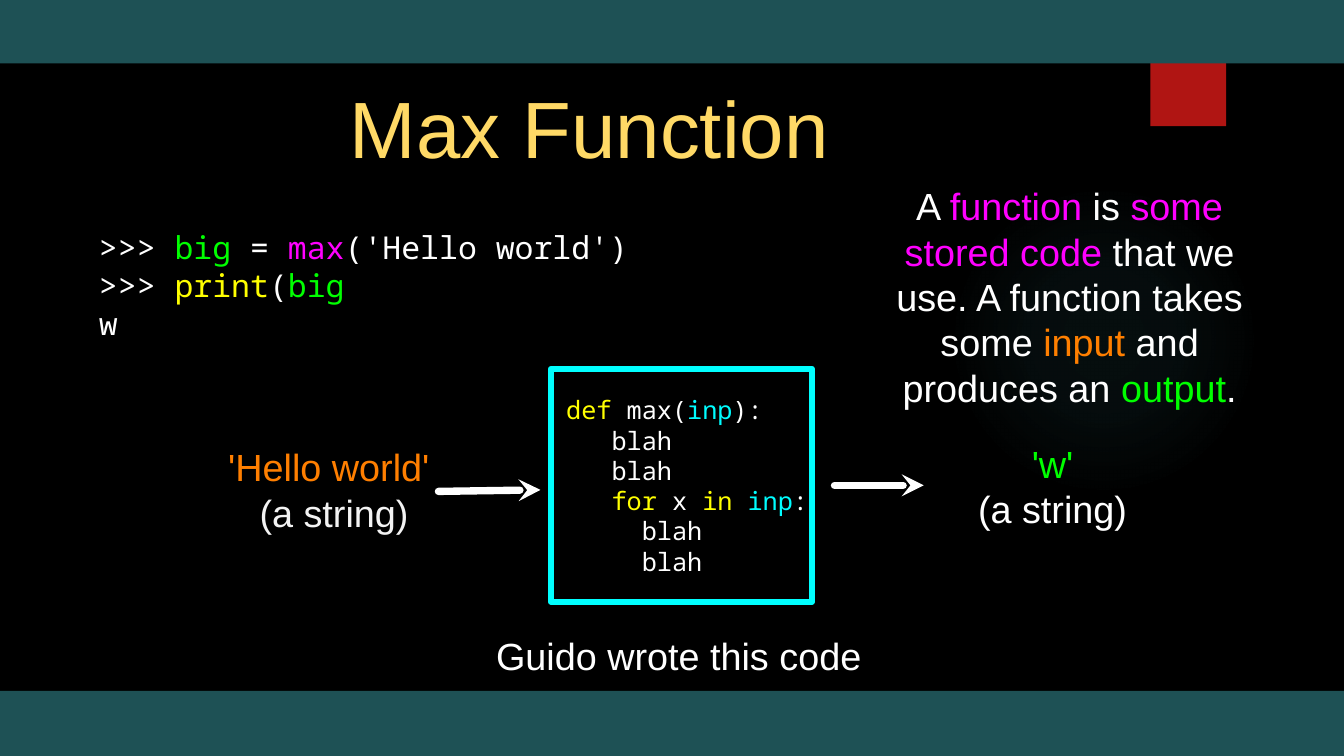
from lxml import etree
from pptx import Presentation
from pptx.dml.color import RGBColor
from pptx.enum import shapes, text
from pptx.oxml import parse_xml
from pptx.oxml.ns import nsdecls, qn
from pptx.util import Inches, Pt

COLORS = {
    "black": "000000", "white": "FFFFFF", "pale": "F3F3F3", "teal": "1E5155",
    "red": "B01513", "glow": "50B9C1", "gold": "FFD966", "green": "00FF00",
    "magenta": "FF00FF", "yellow": "FFFF00", "orange": "FF7F00",
    "cyan": "00FFFF", "aqua": "00FDFF",
}
SANS, MONO = "Arial", "Noto Sans Mono"


def color(name):
    return RGBColor.from_string(COLORS[name])


def write(shape, lines, size, font, align=text.PP_ALIGN.CENTER, inset=0):
    """Each line is a list of (wording, colour name) runs."""
    frame = shape.text_frame
    frame.word_wrap = True
    frame.auto_size = text.MSO_AUTO_SIZE.NONE
    frame.vertical_anchor = text.MSO_ANCHOR.MIDDLE
    frame.margin_left = frame.margin_right = Inches(inset)
    frame.margin_top = frame.margin_bottom = Inches(inset)
    for index, line in enumerate(lines):
        paragraph = frame.add_paragraph() if index else frame.paragraphs[0]
        paragraph.alignment = align
        for wording, name in line:
            run = paragraph.add_run()
            run.text = wording
            run.font.size = Pt(size)
            run.font.name = font
            run.font.bold = False
            run.font.color.rgb = color(name)


presentation = Presentation()
presentation.slide_width = Inches(17.78)
presentation.slide_height = Inches(10)
slide = presentation.slides.add_slide(presentation.slide_layouts[5])
slide.background.fill.solid()
slide.background.fill.fore_color.rgb = color("black")

# Backdrop: glow, red tab, top and bottom bands
backdrop = [
    ("OVAL", "glow", 12.55, 2.44, 4.11, 4.11),
    ("RECTANGLE", "red", 15.22, 0, 1, 1.67),
    ("RECTANGLE", "teal", 0, 0, 17.78, 0.84),
    ("RECTANGLE", "teal", 0, 9.14, 17.78, 0.86),
]
for kind, name, *box in backdrop:
    shape = slide.shapes.add_shape(shapes.MSO_SHAPE[kind], *map(Inches, box))
    shape.shadow.inherit = False
    shape.line.fill.background()
    shape.fill.solid()
    shape.fill.fore_color.rgb = color(name)
    properties = shape._element.spPr
    if name == "glow":
        stops = "".join(
            f'<a:gs pos="{position}000"><a:srgbClr val="{COLORS[name]}">'
            f'<a:alpha val="{alpha}000"/></a:srgbClr></a:gs>'
            for position, alpha in [(0, 7), (36, 6), (69, 0), (100, 0)])
        gradient = parse_xml(
            f'<a:gradFill {nsdecls("a")}><a:gsLst>{stops}</a:gsLst><a:path path="circle">'
            '<a:fillToRect l="50000" t="50000" r="50000" b="50000"/></a:path></a:gradFill>')
        properties.replace(properties.find(qn("a:solidFill")), gradient)
    elif name == "red":
        properties.find(qn("a:effectLst")).append(parse_xml(
            f'<a:outerShdw {nsdecls("a")} blurRad="{Pt(3)}" dist="{Pt(2)}" dir="5400000">'
            '<a:srgbClr val="000000"><a:alpha val="45000"/></a:srgbClr></a:outerShdw>'))

# Title
title = slide.shapes.title
title.left, title.top, title.width, title.height = map(Inches, (0.94, 0.66, 13.71, 2.04))
write(title, [[("Max Function", "gold")]], 76, SANS, inset=0.04)

# Interpreter session
session = slide.shapes.add_textbox(*map(Inches, (1.31, 2.86, 7.8, 1.82)))
write(session, [
    [(">>> ", "white"), ("big", "green"), (" = ", "white"), ("max", "magenta"),
     ("('Hello world')", "white")],
    [(">>> ", "white"), ("print", "yellow"), ("(", "white"), ("big", "green")],
    [("w", "white")],
], 30, MONO, text.PP_ALIGN.LEFT)

# Function body, indented by whole characters
function_box = slide.shapes.add_shape(
    shapes.MSO_SHAPE.RECTANGLE, *map(Inches, (7.29, 4.88, 3.45, 3.08)))
function_box.shadow.inherit = False
function_box.fill.background()
function_box.line.color.rgb = color("cyan")
function_box.line.width = Pt(6)
blah = [("blah", "white")]
write(function_box, [
    [("def", "yellow"), (" max(", "white"), ("inp", "aqua"), ("):", "white")],
    blah,
    blah,
    [("for", "yellow"), (" x ", "white"), ("in ", "yellow"), ("inp", "aqua"), (":", "white")],
    blah,
    blah,
], 24, MONO, text.PP_ALIGN.LEFT)
for paragraph, characters in zip(function_box.text_frame.paragraphs, (1, 4, 4, 4, 6, 6)):
    paragraph._p.get_or_add_pPr().set("marL", str(Inches(0.2 * characters)))

# Arrows into and out of the function
for ends in [(5.8, 6.5, 7.15, 6.48), (11.04, 6.42, 12.22, 6.42)]:
    arrow = slide.shapes.add_connector(shapes.MSO_CONNECTOR.STRAIGHT, *map(Inches, ends))
    arrow.line.color.rgb = color("white")
    arrow.line.width = Pt(7)
    line = arrow.line._get_or_add_ln()
    line.set("cap", "rnd")
    etree.SubElement(line, qn("a:tailEnd"), type="stealth")
    etree.SubElement(arrow._element.spPr, qn("a:effectLst"))

# Input, output, definition and caption
labels = [
    ((2.86, 5.85, 3.12, 1.25), [[("'Hello world' ", "orange")], [("(a string)", "pale")]]),
    ((12.73, 5.8, 2.39, 1.25), [[("'w'", "green")], [("(a string)", "white")]]),
    ((11.45, 2.48, 5.4, 2.88), [[
        ("A ", "white"), ("function", "magenta"), (" is ", "white"),
        ("some stored code", "magenta"),
        (" that we use. A function takes some ", "white"), ("input", "orange"),
        (" and produces an ", "white"), ("output", "green"), (".", "white")]]),
    ((6.51, 8.33, 4.94, 0.68), [[("Guido wrote this code", "white")]]),
]
for box, lines in labels:
    write(slide.shapes.add_textbox(*map(Inches, box)), lines, 36, SANS)

presentation.save("out.pptx")
